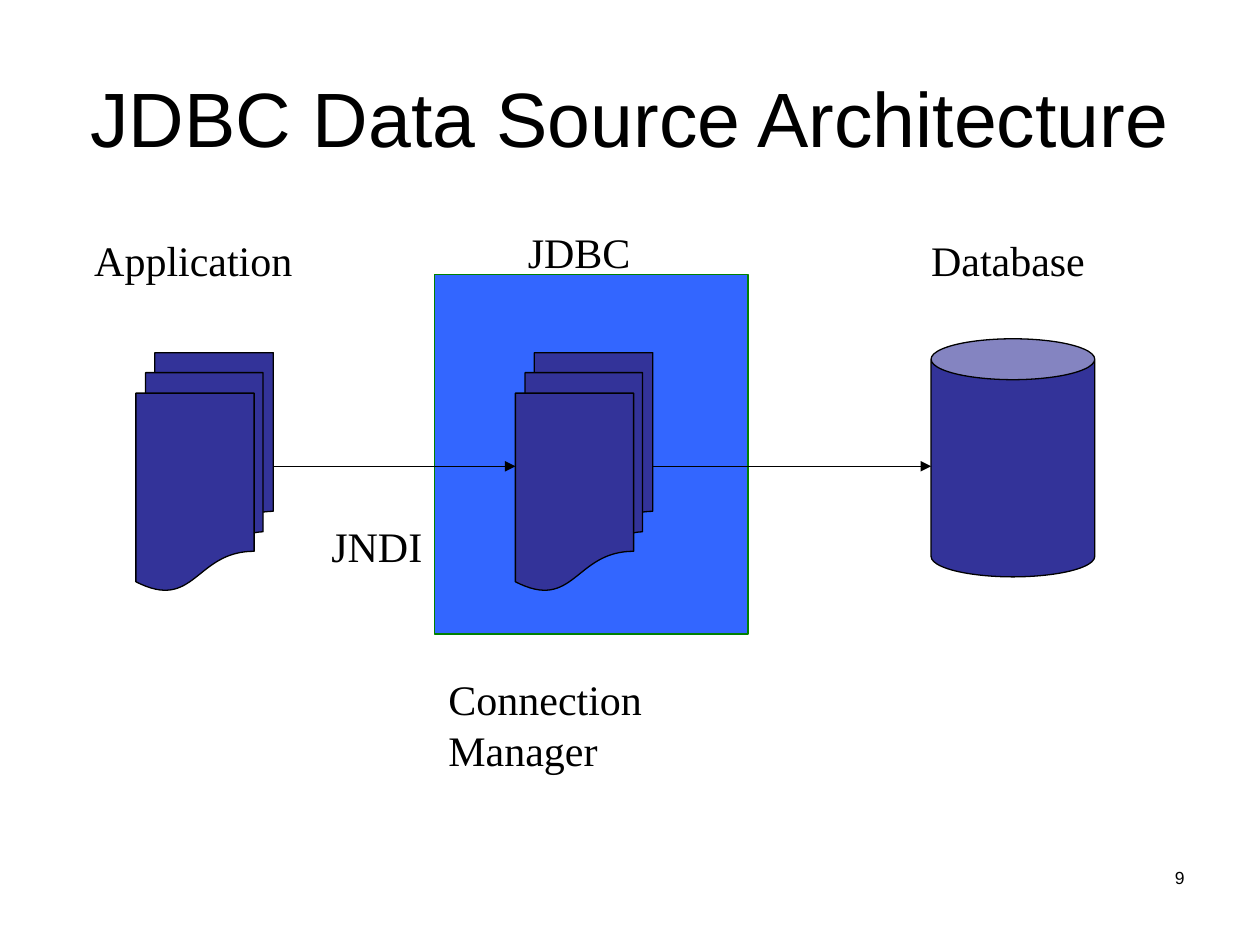
from pptx import Presentation
from pptx.dml.color import RGBColor
from pptx.enum.shapes import MSO_CONNECTOR, MSO_SHAPE
from pptx.enum.text import MSO_ANCHOR, MSO_AUTO_SIZE, PP_ALIGN
from pptx.oxml.ns import qn
from pptx.util import Cm, Pt
from lxml.etree import SubElement

COLORS = {"text": "000000", "box": "3366FF", "edge": "008000", "node": "333399"}


def rgb(name):
    return RGBColor.from_string(COLORS[name])


def write(s, text, font, size, align, **frame):
    tf = s.text_frame
    for name, value in frame.items():
        setattr(tf, name, value)
    p = tf.paragraphs[0]
    p.alignment = align
    r = p.add_run()
    r.text = text
    for name, value in {"name": font, "size": Pt(size)}.items():
        setattr(r.font, name, value)
    r.font.color.rgb = rgb("text")


prs = Presentation()
prs.slide_width, prs.slide_height = Cm(25.4), Cm(19.05)
slide = prs.slides.add_slide(prs.slide_layouts[5])
sp = slide.shapes

title = sp.title
place = {"left": Cm(1.27), "top": Cm(0.76), "width": Cm(22.86), "height": Cm(3.18)}
for name, value in place.items():
    setattr(title, name, value)
write(title, "JDBC Data Source Architecture", "Arial", 44, PP_ALIGN.CENTER,
      vertical_anchor=MSO_ANCHOR.MIDDLE, auto_size=MSO_AUTO_SIZE.NONE)

number = sp.add_textbox(Cm(18.21), Cm(17.35), Cm(5.92), Cm(1.32))
write(number, "9", "Arial", 10, PP_ALIGN.RIGHT, word_wrap=True)

app_x, jdbc_x, db_x = 2.74, 10.39, 18.77
doc_w, node_h, arrow_y = 2.77, 4.8, 9.4

shapes = [
    (MSO_SHAPE.RECTANGLE, 8.76, 5.54, 6.32, 7.24, "box", "edge"),
    (MSO_SHAPE.FLOWCHART_MULTIDOCUMENT, app_x, 7.11, doc_w, node_h, "node", "text"),
    (MSO_SHAPE.FLOWCHART_MULTIDOCUMENT, jdbc_x, 7.11, doc_w, node_h, "node", "text"),
    (MSO_SHAPE.CAN, db_x, 6.83, 3.3, node_h, "node", "text"),
]
for kind, x, y, w, h, fill, line in shapes:
    s = sp.add_shape(kind, Cm(x), Cm(y), Cm(w), Cm(h))
    s.shadow.inherit = False
    s.fill.solid()
    s.fill.fore_color.rgb = rgb(fill)
    s.line.color.rgb = rgb(line)
    s.line.width = Pt(0.75)

for start, end in [(app_x + doc_w, jdbc_x), (jdbc_x + doc_w, db_x)]:
    s = sp.add_connector(MSO_CONNECTOR.STRAIGHT, Cm(start), Cm(arrow_y), Cm(end), Cm(arrow_y))
    s.line.color.rgb = rgb("text")
    s.line.width = Pt(0.75)
    SubElement(s.line._get_or_add_ln(), qn("a:tailEnd"), type="triangle")
    SubElement(s._element.spPr, qn("a:effectLst"))

labels = [
    ("Application", 1.65, 4.6, 4.5),
    ("JDBC", 10.39, 4.45, 2.57),
    ("Database", 18.52, 4.6, 3.61),
    ("JNDI", 6.43, 10.36, 2.34),
    ("Connection Manager", 8.79, 13.46, 7.62),
]
for text, x, y, w in labels:
    s = sp.add_textbox(Cm(x), Cm(y), Cm(w), Cm(1.27))
    write(s, text, "Times New Roman", 24, PP_ALIGN.LEFT,
          word_wrap=False, auto_size=MSO_AUTO_SIZE.SHAPE_TO_FIT_TEXT)

prs.save("out.pptx")
